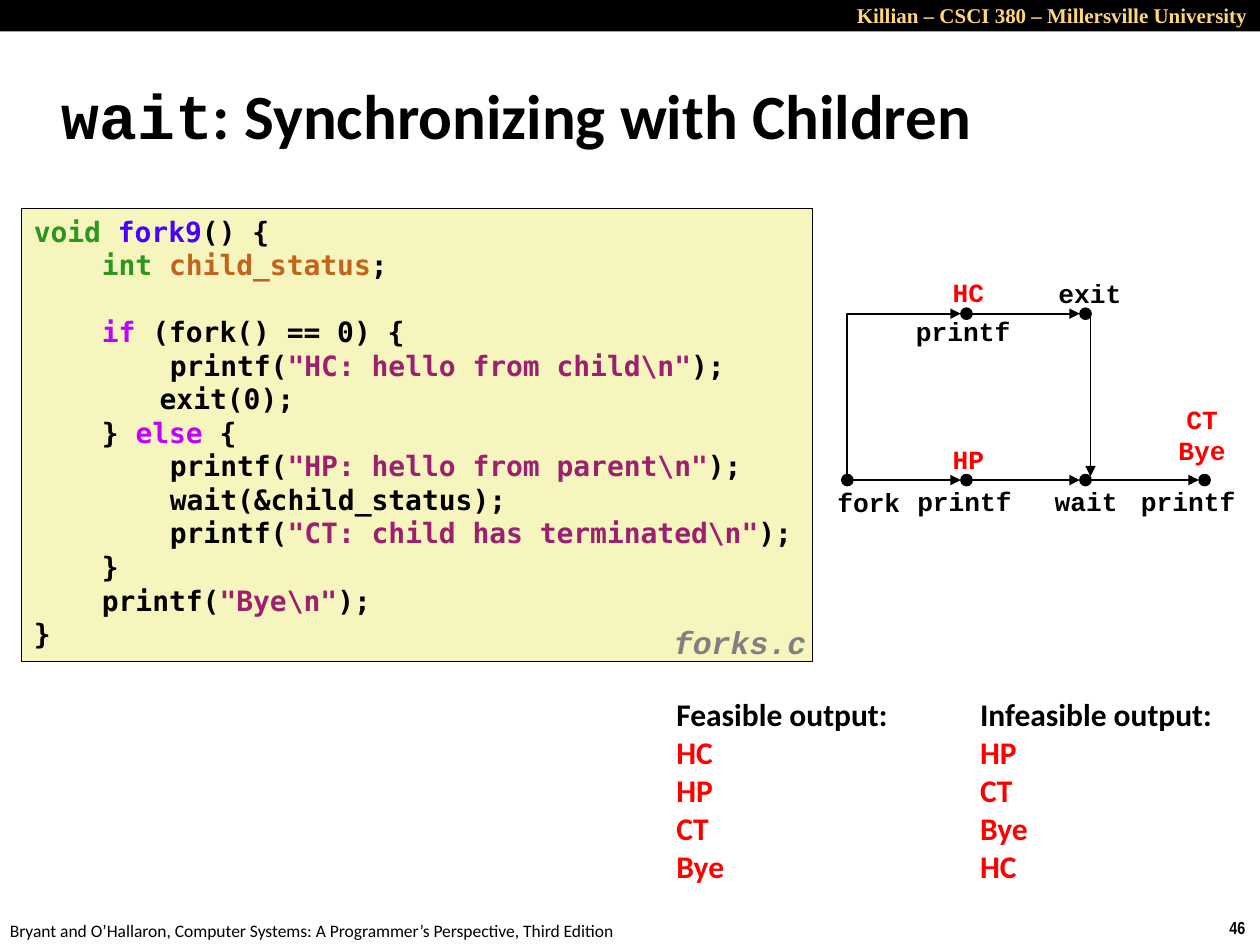
from lxml import etree
from pptx import Presentation
from pptx import util as u
from pptx.dml.color import RGBColor
from pptx.enum import shapes, text
from pptx.oxml.ns import qn

COLORS = {
    "black": "000000", "white": "FFFFFF", "gold": "FFD579", "panel": "F6F5BD",
    "red": "FF0000", "gray": "808080", "type": "2D961E", "function": "4A00FF",
    "variable": "C1651C", "keyword": "C200FF", "string": "9D206F",
}
LEFT, CENTER, RIGHT = text.PP_ALIGN.LEFT, text.PP_ALIGN.CENTER, text.PP_ALIGN.RIGHT
CODE_STEP = 0.54
CODE = [
    (0, [("void ", "type"), ("fork9", "function"), ("() {", "black")]),
    (1, [("int ", "type"), ("child_status", "variable"), (";", "black")]),
    (1, [("if", "keyword"), (" (fork() == 0) {", "black")]),
    (2, [("printf(", "black"), ('"HC: hello from child\\n"', "string"), (");", "black")]),
    (1.85, [("exit(0);", "black")]),
    (1, [("} ", "black"), ("else", "keyword"), (" {", "black")]),
    (2, [("printf(", "black"), ('"HP: hello from parent\\n"', "string"), (");", "black")]),
    (2, [("wait(&child_status);", "black")]),
    (2, [("printf(", "black"), ('"CT: child has terminated\\n"', "string"), (");", "black")]),
    (1, [("}", "black")]),
    (1, [("printf(", "black"), ('"Bye\\n"', "string"), (");", "black")]),
    (0, [("}", "black")]),
]
LINE_AFTER_GAP = 2


def rgb(name):
    return RGBColor.from_string(COLORS[name])


def inches(*values):
    return [u.Inches(value) for value in values]


def set_font(font, name, size, color=None, bold=True, italic=False):
    font.name, font.size, font.bold, font.italic = name, u.Pt(size), bold, italic
    if color:
        font.color.rgb = rgb(color)


def add_block(parent, box, lines, font, size, color="black", align=LEFT,
              wrap=False, bold=True, italic=False):
    block = parent.add_textbox(*inches(*box))
    frame = block.text_frame
    frame.word_wrap = wrap
    frame.auto_size = text.MSO_AUTO_SIZE.SHAPE_TO_FIT_TEXT
    frame.text = "\n".join(lines)
    for paragraph in frame.paragraphs:
        paragraph.alignment = align
        set_font(paragraph.font, font, size, color, bold, italic)
    return block


def add_filled(parent, kind, box, fill, line_width=None):
    filled = parent.add_shape(kind, *inches(*box))
    filled.shadow.inherit = False
    filled.fill.solid()
    filled.fill.fore_color.rgb = rgb(fill)
    if line_width:
        filled.line.color.rgb = rgb("black")
        filled.line.width = u.Pt(line_width)
    else:
        filled.line.fill.background()
    return filled


def add_arrow(parent, start, end, kind=shapes.MSO_CONNECTOR.STRAIGHT):
    arrow = parent.add_connector(kind, *inches(*start, *end))
    arrow.line.color.rgb = rgb("black")
    arrow.line.width = u.Pt(1)
    etree.SubElement(arrow.line._get_or_add_ln(), qn("a:tailEnd"), type="triangle")
    etree.SubElement(arrow._element.spPr, qn("a:effectLst"))
    return arrow


def add_corner_arrow(parent, start, end):
    mid_x, mid_y = (start[0] + end[0]) / 2, (start[1] + end[1]) / 2
    half_rise, half_run = (start[1] - end[1]) / 2, (end[0] - start[0]) / 2
    arrow = add_arrow(parent, (mid_x + half_rise, mid_y + half_run),
                      (mid_x - half_rise, mid_y - half_run), shapes.MSO_CONNECTOR.ELBOW)
    properties = arrow._element.spPr
    properties.find(qn("a:xfrm")).set("rot", "5400000")
    properties.find(qn("a:prstGeom")).set("prst", "bentConnector2")


def header(slide, box):
    left, top, width, height = box
    add_filled(slide.shapes, shapes.MSO_SHAPE.RECTANGLE, box, "black")
    add_block(slide.shapes, (left + 5.83, top - 0.03, width - 5.83, height + 0.05),
              ["Killian – CSCI 380 – Millersville University"],
              "Times New Roman", 12, "gold", RIGHT, wrap=True)


def footer(slide, box):
    left, top, width, height = box
    add_block(slide.shapes, (left + width - 0.34, top - 0.02, 0.34, height),
              ["46"], "Arial Narrow", 10)
    add_block(slide.shapes, (left - 0.02, top, 5.08, height),
              ["Bryant and O’Hallaron, Computer Systems: A Programmer’s Perspective, Third Edition"],
              "Calibri", 10, bold=False)


def title(slide, box):
    heading = slide.shapes.title
    heading.left, heading.top, heading.width, heading.height = inches(*box)
    frame = heading.text_frame
    frame.vertical_anchor = text.MSO_ANCHOR.MIDDLE
    paragraph = frame.paragraphs[0]
    paragraph.alignment = LEFT
    for words, font in (("wait", "Courier New"), (": Synchronizing with Children", "Calibri")):
        run = paragraph.add_run()
        run.text = words
        set_font(run.font, font, 36, "black")


def code_panel(slide, box):
    left, top, width, height = box
    panel = add_filled(slide.shapes, shapes.MSO_SHAPE.RECTANGLE, box, "panel", 0.25)
    frame = panel.text_frame
    frame.word_wrap = True
    frame.vertical_anchor = text.MSO_ANCHOR.TOP
    for index, (level, tokens) in enumerate(CODE):
        paragraph = frame.add_paragraph() if index else frame.paragraphs[0]
        paragraph.alignment = LEFT
        set_font(paragraph.font, "DejaVu Sans Mono", 16)
        if level:
            properties = paragraph._p.get_or_add_pPr()
            properties.set("marL", str(u.Inches(level * CODE_STEP)))
            properties.set("indent", "0")
        if index == LINE_AFTER_GAP:
            paragraph.space_before = u.Pt(19)
        for words, color in tokens:
            run = paragraph.add_run()
            run.text = words
            run.font.color.rgb = rgb(color)
    file_name = add_block(slide.shapes, (left + width - 1.2, top + height - 0.33, 1.32, 0.39),
                          ["forks.c"], "Courier New", 18, "gray", italic=True)
    file_name.text_frame.paragraphs[0].line_spacing = 0.94


def process_graph(slide, box):
    left, top = box[:2]
    graph = slide.shapes.add_group_shape().shapes
    radius = 0.045
    columns = [left + 0.235 + 0.945 * index for index in range(4)]
    child, parent = top + 0.35, top + 1.67
    for y, members in ((child, columns[1:3]), (parent, columns)):
        for x in members:
            add_filled(graph, shapes.MSO_SHAPE.OVAL,
                       (x - radius, y - radius, 2 * radius, 2 * radius), "black", 0.75)
        for x, following in zip(members, members[1:]):
            add_arrow(graph, (x + radius, y), (following - radius, y))
    add_corner_arrow(graph, (columns[0], parent - radius), (columns[1] - radius, child))
    exit_x = columns[2] + 0.04
    add_arrow(graph, (exit_x, child), (exit_x, parent - 0.03))

    labels = [
        (["fork"], 0, 1.67, 0.81, "black"), (["printf"], 0.68, 1.66, 0.97, "black"),
        (["wait"], 1.65, 1.66, 0.96, "black"), (["printf"], 2.46, 1.66, 0.96, "black"),
        (["printf"], 0.64, 0.31, 1.03, "black"), (["exit"], 1.68, 0.01, 0.96, "black"),
        (["HP"], 0.97, 1.33, 0.45, "red"), (["HC"], 0.97, 0, 0.45, "red"),
        (["CT", "Bye"], 2.76, 1.01, 0.58, "red"),
    ]
    for lines, x, y, width, color in labels:
        add_block(graph, (left + x, top + y, width, 0.1 + 0.25 * len(lines)), lines,
                  "Courier New", 15, color, CENTER, wrap=color == "black")


def output_list(slide, box, heading, outputs):
    block = add_block(slide.shapes, box, [heading, *outputs], "Calibri", 18, "red")
    block.text_frame.paragraphs[0].font.color.rgb = rgb("black")


def main():
    deck = Presentation()
    deck.slide_width, deck.slide_height = inches(10, 7.5)
    slide = deck.slides.add_slide(deck.slide_layouts[5])
    slide.background.fill.solid()
    slide.background.fill.fore_color.rgb = rgb("white")
    header(slide, (0, 0, 10, 0.25))
    footer(slide, (0, 7.25, 10, 0.27))
    title(slide, (0.39, 0.49, 8.3, 0.83))
    code_panel(slide, (0.17, 1.65, 6.28, 3.6))
    process_graph(slide, (6.49, 2.14, 3.42, 2.02))
    output_list(slide, (5.27, 5.47, 1.9, 1.62), "Feasible output:", ["HC", "HP", "CT", "Bye"])
    output_list(slide, (7.68, 5.47, 2.07, 1.62), "Infeasible output:", ["HP", "CT", "Bye", "HC"])
    deck.save("out.pptx")


if __name__ == "__main__":
    main()
